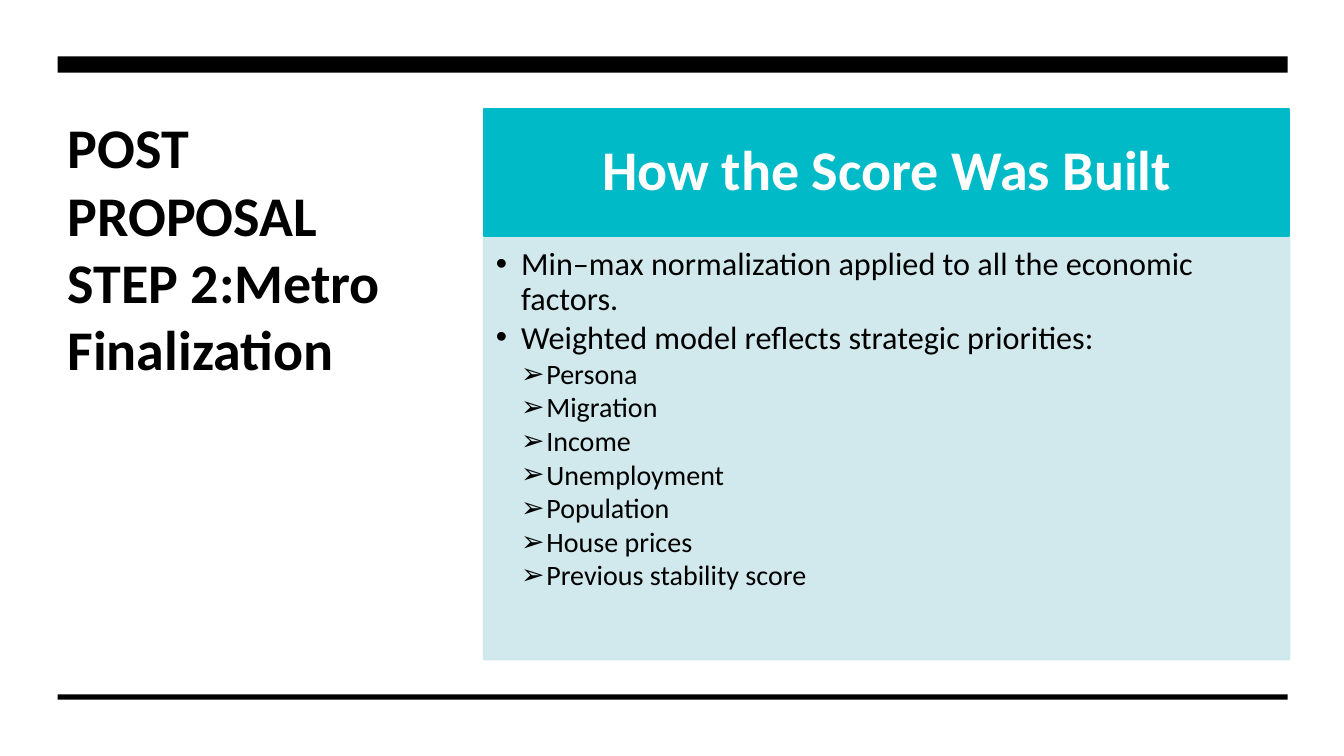
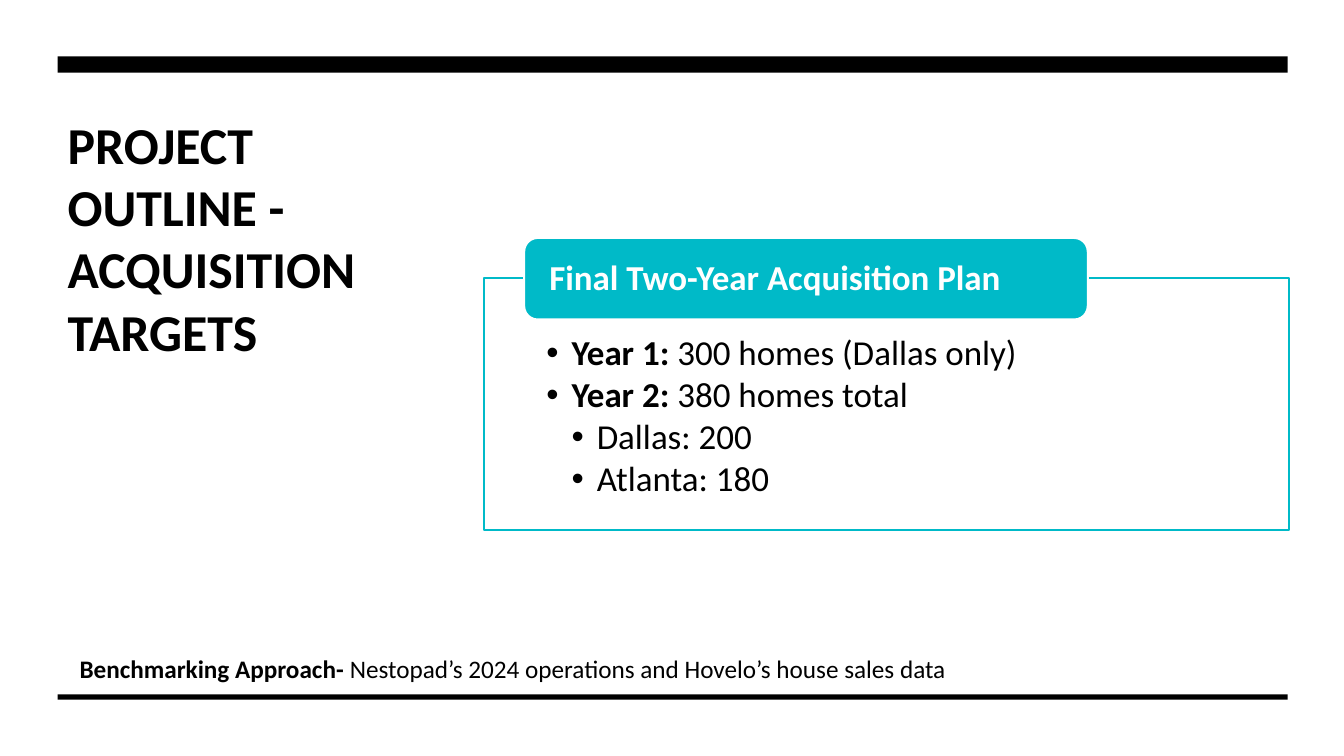
from lxml.etree import SubElement
from pptx import Presentation
from pptx.dml.color import RGBColor
from pptx.enum.shapes import MSO_SHAPE as Shape
from pptx.enum.text import MSO_ANCHOR as Anchor, MSO_AUTO_SIZE as AutoSize, PP_ALIGN as Align
from pptx.oxml.ns import qn
from pptx.util import Inches, Pt

WIDTH, HEIGHT = Inches(13.33), Inches(7.5)
FONT = "Calibri"
COLORS = {"ink": "000000", "paper": "FFFFFF", "accent": "00BAC8", "tint": "CCE7EB"}

# Grid, in percent of the slide's width and height
MARGIN, CONTENT_W = 4.28, 91.52
PANEL_X, PANEL_W = 36, 59.94
BARS = [(7.47, 2.13), (91.87, 0.67)]
TITLE_AREA = (MARGIN, 14.27, 25.88, 59.33)

INDENT = 0.25
TIGHT = 0.9


def color(name):
    return RGBColor.from_string(COLORS[name])


def area(left, top, width, height):
    """Turn percentages of the slide into lengths."""
    return (int(WIDTH * left / 100), int(HEIGHT * top / 100),
            int(WIDTH * width / 100), int(HEIGHT * height / 100))


def move(shape, box):
    shape.left, shape.top, shape.width, shape.height = area(*box)


def paint(shape, fill, line=None):
    shape.fill.solid()
    shape.fill.fore_color.rgb = color(fill)
    if line:
        shape.line.color.rgb = color(line)
        shape.line.width = Pt(1.5)
    else:
        shape.line.fill.background()


def soften(shape, percent):
    """Make the fill and the outline partly transparent."""
    for rgb in shape._element.spPr.iter(qn("a:srgbClr")):
        SubElement(rgb, qn("a:alpha"), val=str(percent * 1000))


def set_frame(frame, insets, anchor=Anchor.TOP):
    frame.word_wrap = True
    frame.auto_size = AutoSize.NONE
    frame.vertical_anchor = anchor
    frame.margin_left, frame.margin_top, frame.margin_right, frame.margin_bottom = map(Inches, insets)


def style(run, size, bold=False, ink="ink"):
    run.font.name, run.font.size, run.font.bold = FONT, Pt(size), bold
    run.font.color.rgb = color(ink)


def write(paragraph, text, size, lead=""):
    """Write an optional bold lead and then plain text."""
    for part, bold in ((lead, True), (text, False)):
        if part:
            run = paragraph.add_run()
            run.text = part
            style(run, size, bold)


def add_block(slide, preset, box, fill, line=None):
    block = slide.shapes.add_shape(preset, *area(*box))
    block.shadow.inherit = False
    paint(block, fill, line)
    return block


def add_heading(slide, preset, box, text, size, line, insets, align):
    heading = add_block(slide, preset, box, "accent", line)
    set_frame(heading.text_frame, insets, Anchor.MIDDLE)
    heading.text_frame.text = text
    paragraph = heading.text_frame.paragraphs[0]
    paragraph.alignment, paragraph.line_spacing = align, TIGHT
    style(paragraph.runs[0], size, True, "paper")


def set_bullet(paragraph, level, mark):
    paragraph.level = level
    props = paragraph._p.get_or_add_pPr()
    props.set("marL", str(Inches(INDENT * (level + 1))))
    props.set("indent", str(-Inches(INDENT)))
    SubElement(props, qn("a:buFont"), typeface="Arial")
    SubElement(props, qn("a:buChar"), char=mark)


def fill_list(body, box, items, sizes, marks, insets):
    """Items are (level, bold lead, text)."""
    move(body, box)
    frame = body.text_frame
    set_frame(frame, insets)
    for index, (level, lead, text) in enumerate(items):
        paragraph = frame.add_paragraph() if index else frame.paragraphs[0]
        set_bullet(paragraph, level, marks[level])
        paragraph.line_spacing = TIGHT
        paragraph.space_before = Pt(0)
        paragraph.space_after = Pt(sizes[level] * 0.12)
        write(paragraph, text, sizes[level], lead)


def add_slide(deck, title, size):
    """Start a slide with the shared title column and black bars."""
    slide = deck.slides.add_slide(deck.slide_layouts[1])
    heading = slide.shapes.title
    move(heading, TITLE_AREA)
    set_frame(heading.text_frame, (0.1, 0.05, 0.1, 0.05))
    heading.text_frame.text = title
    paragraph = heading.text_frame.paragraphs[0]
    paragraph.alignment = Align.LEFT
    style(paragraph.runs[0], size, True)
    for top, height in BARS:
        add_block(slide, Shape.RECTANGLE, (MARGIN, top, CONTENT_W, height), "ink")
    return slide


def add_score_slide(deck):
    slide = add_slide(deck, "POST PROPOSAL STEP 2:Metro Finalization", 40)
    add_heading(slide, Shape.RECTANGLE, (PANEL_X, 14.4, PANEL_W, 16.8),
                "How the Score Was Built", 40, "accent",
                (0.31, 0.18, 0.31, 0.18), Align.CENTER)
    factors = ["Persona", "Migration", "Income", "Unemployment", "Population",
               "House prices", "Previous stability score"]
    items = [(0, "", "Min–max normalization applied to all the economic factors."),
             (0, "", "Weighted model reflects strategic priorities:")]
    items += [(1, "", factor) for factor in factors]
    method = slide.placeholders[1]
    fill_list(method, (PANEL_X, 31.2, PANEL_W, 56), items, (23, 20), "•➢",
              (0.12, 0.12, 0.16, 0.17))
    paint(method, "tint", "tint")
    soften(method, 90)


def add_targets_slide(deck):
    slide = add_slide(deck, "PROJECT OUTLINE - ACQUISITION TARGETS", 37)
    items = [(0, "Year 1:", " 300 homes (Dallas only)"),
             (0, "Year 2:", " 380 homes total"),
             (1, "", "Dallas: 200"),
             (1, "", "Atlanta: 180")]
    plan = slide.placeholders[1]
    fill_list(plan, (PANEL_X, 36.8, PANEL_W, 33.33), items, (25, 25), "••",
              (0.62, 0.57, 0.62, 0.19))
    paint(plan, "paper", "accent")
    add_heading(slide, Shape.ROUNDED_RECTANGLE, (39, 31.47, 41.94, 10.8),
                "Final Two-Year Acquisition Plan", 25, "paper",
                (0.21, 0, 0.21, 0), Align.LEFT)

    # Benchmark note above the lower bar
    note = slide.shapes.add_textbox(*area(5.18, 85.73, 70.22, 5.33))
    set_frame(note.text_frame, (0.1, 0.05, 0.1, 0.05))
    write(note.text_frame.paragraphs[0],
          "Nestopad’s 2024 operations and Hovelo’s house sales data", 18,
          "Benchmarking Approach- ")


def main():
    deck = Presentation()
    deck.slide_width, deck.slide_height = WIDTH, HEIGHT
    add_score_slide(deck)
    add_targets_slide(deck)
    deck.save("out.pptx")


if __name__ == "__main__":
    main()
